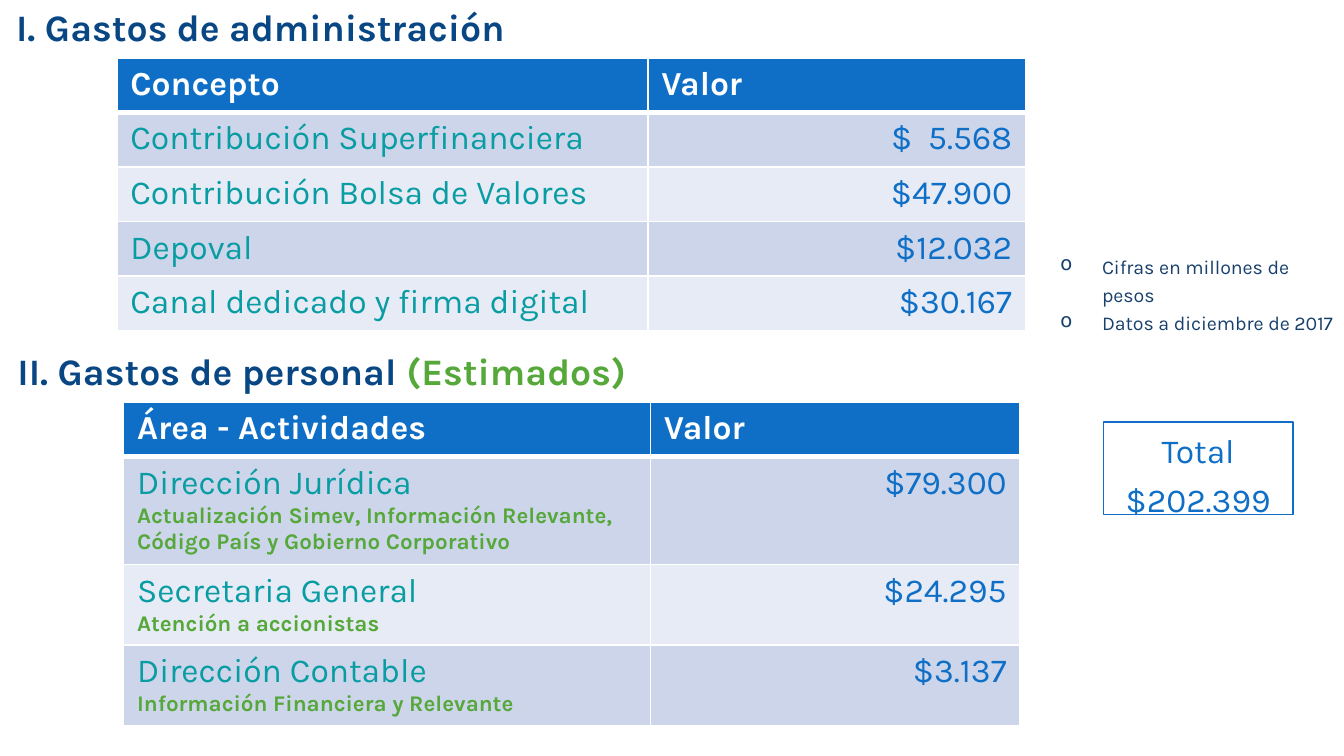
from pptx import Presentation
from pptx.dml.color import RGBColor
from pptx.enum.shapes import MSO_SHAPE as Shape
from pptx.enum.text import MSO_ANCHOR as Anchor, PP_ALIGN as Align
from pptx.oxml import parse_xml
from pptx.oxml.ns import nsdecls
from pptx.util import Inches, Pt

FONT = "Karla"
NAVY = RGBColor(0x09, 0x47, 0x84)
NOTE_NAVY = RGBColor(0x17, 0x40, 0x6D)
BLUE = RGBColor(0x0F, 0x6F, 0xC6)
TEAL = RGBColor(0x08, 0x9C, 0xA3)
GREEN = RGBColor(0x55, 0xA8, 0x39)
WHITE = RGBColor(0xFF, 0xFF, 0xFF)
BANDS = [RGBColor(0xCC, 0xD5, 0xEA), RGBColor(0xE7, 0xEB, 0xF5)]

# Content: headings as (place, spans), tables as (place, columns, heights, rows)
HEADINGS = [
    ((0.12, 0.08, 7.51, 0.67), [("I. Gastos de administración", NAVY)]),
    ((0.13, 2.64, 7.51, 0.44), [("II. Gastos de personal ", NAVY),
                                ("(Estimados)", GREEN)]),
]
TABLES = [
    ((0.87, 0.43), (3.95, 2.81), [2.03 / 5] * 5, [
        (["Concepto"], "Valor"),
        (["Contribución Superfinanciera"], "$  5.568"),
        (["Contribución Bolsa de Valores"], "$47.900"),
        (["Depoval"], "$12.032"),
        (["Canal dedicado y firma digital"], "$30.167"),
    ]),
    ((0.92, 2.99), (3.92, 2.75), [0.41, 0.8, 0.6, 0.6], [
        (["Área - Actividades"], "Valor"),
        (["Dirección Jurídica", "Actualización Simev, Información Relevante, "
          "Código País y Gobierno Corporativo"], "$79.300"),
        (["Secretaria General", "Atención a accionistas"], "$24.295"),
        (["Dirección Contable", "Información Financiera y Relevante"], "$3.137"),
    ]),
]
NOTES = ["Cifras en millones de pesos", "Datos a diciembre de 2017"]
TOTAL = "Total $202.399"


def style(span, size, color, bold=False):
    font = span.font
    font.name, font.size, font.bold = FONT, Pt(size), bold
    font.color.rgb = color


def clear_margins(frame):
    frame.word_wrap = True
    frame.margin_left = frame.margin_right = 0
    frame.margin_top = frame.margin_bottom = 0
    return frame


def add_text_frame(place):
    box = page.shapes.add_textbox(*map(Inches, place))
    return clear_margins(box.text_frame)


def set_borders(cell, top, bottom):
    properties = cell._tc.get_or_add_tcPr()
    for index, (side, width) in enumerate(
            [("L", 1), ("R", 1), ("T", top), ("B", bottom)]):
        properties.insert(index, parse_xml(
            f'<a:ln{side} {nsdecls("a")} w="{Pt(width)}"><a:solidFill>'
            f'<a:srgbClr val="{WHITE}"/></a:solidFill></a:ln{side}>'))


def fill_cell(cell, lines, row, is_value):
    header = row == 0
    cell.fill.solid()
    cell.fill.fore_color.rgb = BLUE if header else BANDS[(row - 1) % 2]
    set_borders(cell, 3 if row == 1 else 1, 3 if header else 1)
    cell.text_frame.text = "\n".join(lines)
    color = WHITE if header else BLUE if is_value else TEAL
    for index, para in enumerate(cell.text_frame.paragraphs):
        if is_value and not header:
            para.alignment = Align.RIGHT
        if index == 0:
            style(para.runs[0], 18, color, header)
        else:
            style(para.runs[0], 12, GREEN, True)


# Widescreen page, 16:9
deck = Presentation()
deck.slide_width = Inches(10)
deck.slide_height = Inches(10 * 9 / 16)
page = deck.slides.add_slide(deck.slide_layouts[6])

# Section headings
for place, spans in HEADINGS:
    para = add_text_frame(place).paragraphs[0]
    para.line_spacing = 0.85
    for text, color in spans:
        span = para.add_run()
        span.text = text
        style(span, 20, color, True)

# Expense tables
for place, widths, heights, rows in TABLES:
    table = page.shapes.add_table(
        len(rows), len(widths),
        *map(Inches, (*place, sum(widths), sum(heights)))).table
    for column, width in zip(table.columns, widths):
        column.width = Inches(width)
    for row, (height, (concept, value)) in enumerate(zip(heights, rows)):
        table.rows[row].height = Inches(height)
        fill_cell(table.cell(row, 0), concept, row, False)
        fill_cell(table.cell(row, 1), [value], row, True)

# Notes with bullets
frame = add_text_frame((7.89, 1.86, 2.11, 0.42))
frame.text = "\n".join(NOTES)
for para in frame.paragraphs:
    para.line_spacing = 1.2
    properties = para._p.get_or_add_pPr()
    properties.set("marL", str(Inches(0.31)))
    properties.set("indent", str(-Inches(0.31)))
    properties.append(parse_xml(f'<a:buChar {nsdecls("a")} char="o"/>'))
    style(para.runs[0], 10.5, NOTE_NAVY)

# Total box
total = page.shapes.add_shape(
    Shape.RECTANGLE, *map(Inches, (8.21, 3.14, 1.41, 0.69)))
total.shadow.inherit = False
total.fill.background()
total.line.color.rgb = BLUE
total.line.width = Pt(0.75)
frame = clear_margins(total.text_frame)
frame.vertical_anchor = Anchor.TOP
frame.text = TOTAL
para = frame.paragraphs[0]
para.alignment = Align.CENTER
para.line_spacing = 1.2
style(para.runs[0], 18, BLUE)

deck.save("out.pptx")
